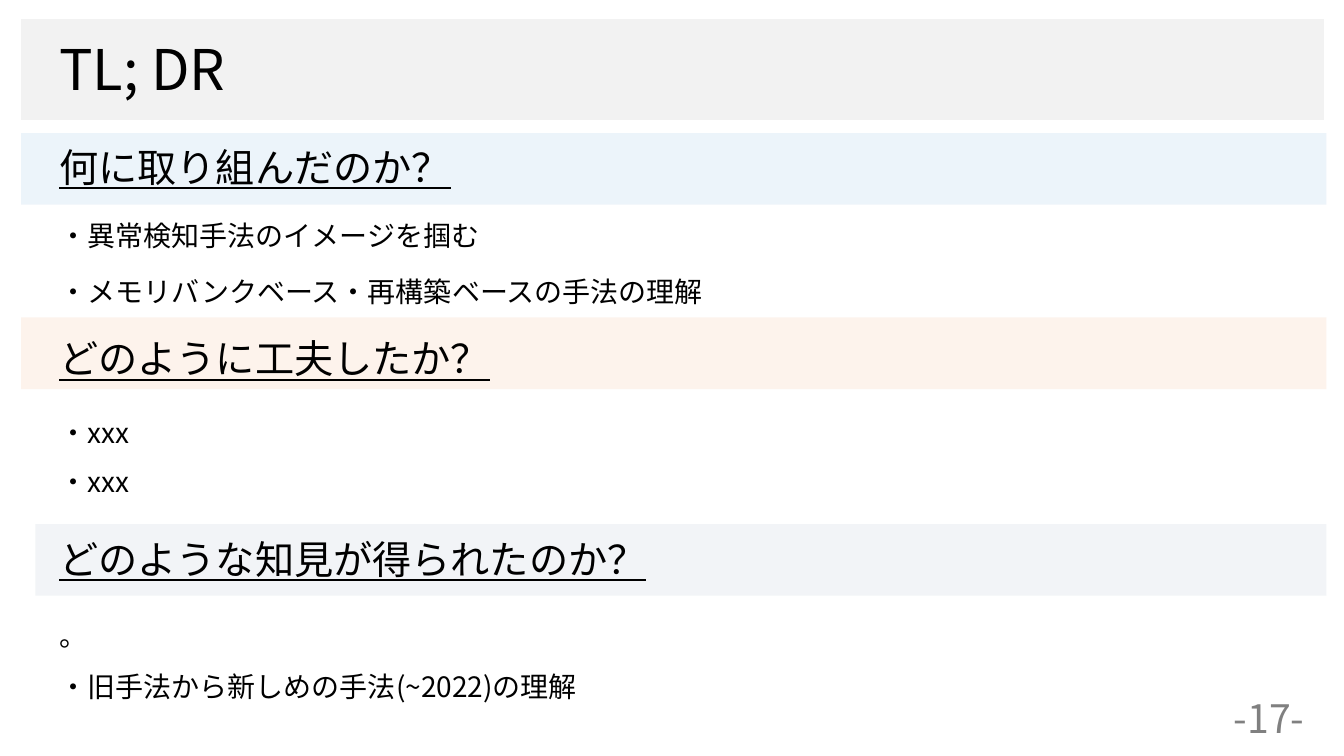
import pptx
import pptx.util
import pptx.dml.color
import pptx.enum.shapes
import pptx.enum.text
import pptx.oxml
import pptx.oxml.ns

PP_ALIGN = pptx.enum.text.PP_ALIGN
MSO_ANCHOR = pptx.enum.text.MSO_ANCHOR


def rgb(hex_color):
    return pptx.dml.color.RGBColor.from_string(hex_color)


class Deck:
    """Style and current slide; lengths are percent of the slide's size."""

    FONT = "Noto Sans CJK JP"
    TITLE, HEADING, BODY = 40, 28, 20
    INK, MUTED = "000000", "808080"
    LEFT, TEXT_LEFT, RIGHT = 1.58, 3.68, 98.7

    def __init__(self):
        self.prs = pptx.Presentation()
        self.prs.slide_width = pptx.util.Inches(13.333)
        self.prs.slide_height = pptx.util.Inches(7.5)
        self.s = self.prs.slides.add_slide(self.prs.slide_layouts[6])

    def box(self, x, y, w, h):
        sw, sh = self.prs.slide_width, self.prs.slide_height
        return [round(share * side / 100)
                for share, side in ((x, sw), (y, sh), (w, sw), (h, sh))]

    def band(self, y, h, color, opacity=100, left=LEFT, right=RIGHT):
        sp = self.s.shapes.add_shape(
            pptx.enum.shapes.MSO_SHAPE.RECTANGLE,
            *self.box(left, y, right - left, h))
        sp.shadow.inherit = False
        sp.line.fill.background()
        sp.fill.solid()
        sp.fill.fore_color.rgb = rgb(color)
        if opacity < 100:
            clr = sp.fill._xPr.find(".//" + pptx.oxml.ns.qn("a:srgbClr"))
            alpha = pptx.oxml.parse_xml(
                f'<a:alpha {pptx.oxml.ns.nsdecls("a")} val="{opacity * 1000}"/>')
            clr.append(alpha)

    def text(self, words, y, w, h, size, x=TEXT_LEFT, color=INK,
             underline=None, align=PP_ALIGN.LEFT, anchor=MSO_ANCHOR.TOP):
        tf = self.s.shapes.add_textbox(*self.box(x, y, w, h)).text_frame
        tf.word_wrap = True
        tf.vertical_anchor = anchor
        p = tf.paragraphs[0]
        p.text = words
        p.alignment = align
        font = p.font
        font.name = self.FONT
        font.size = pptx.util.Pt(size)
        font.color.rgb = rgb(color)
        font.underline = underline
        font._rPr.append(pptx.oxml.parse_xml(
            f'<a:ea {pptx.oxml.ns.nsdecls("a")} typeface="{self.FONT}"/>'))

    def title(self, words):
        self.band(2.53, 13.33, "F2F2F2", right=98.5)
        self.text(words, 3.87, 58.5, 10.27, self.TITLE)

    def heading(self, words, y, w):
        self.text(words, y, w, 7.6, self.HEADING, underline=True)

    def body(self, words, y):
        self.text(words, y, self.RIGHT - self.TEXT_LEFT, 5.87, self.BODY)

    def page_number(self, words):
        self.text(words, 92, 8.55, 5.87, self.HEADING, x=90.15,
                  color=self.MUTED, align=PP_ALIGN.CENTER,
                  anchor=MSO_ANCHOR.MIDDLE)


# band: top, colour, opacity, left; heading: words, top, width; lines: words, top
SECTIONS = [
    ((17.6, "DEEBF7", 55, Deck.LEFT),
     ("何に取り組んだのか？", 18.27, 35),
     [("・異常検知手法のイメージを掴む", 28.27),
      ("・メモリバンクベース・再構築ベースの手法の理解", 35.6)]),
    ((42, "FBE5D6", 44, Deck.LEFT),
     ("どのように工夫したか？", 43.6, 38.3),
     [("・xxx", 54.27), ("・xxx", 60.8)]),
    ((69.33, "D6DCE5", 30, 2.63),
     ("どのような知見が得られたのか？", 70.13, 52.8),
     [("。", 81.2), ("・旧手法から新しめの手法(~2022)の理解", 87.87)]),
]


def main():
    deck = Deck()
    deck.title("TL; DR")
    for (top, color, opacity, left), heading, lines in SECTIONS:
        deck.band(top, 9.47, color, opacity, left)
        deck.heading(*heading)
        for words, y in lines:
            deck.body(words, y)
    deck.page_number("-17-")
    deck.prs.save("out.pptx")


if __name__ == "__main__":
    main()
